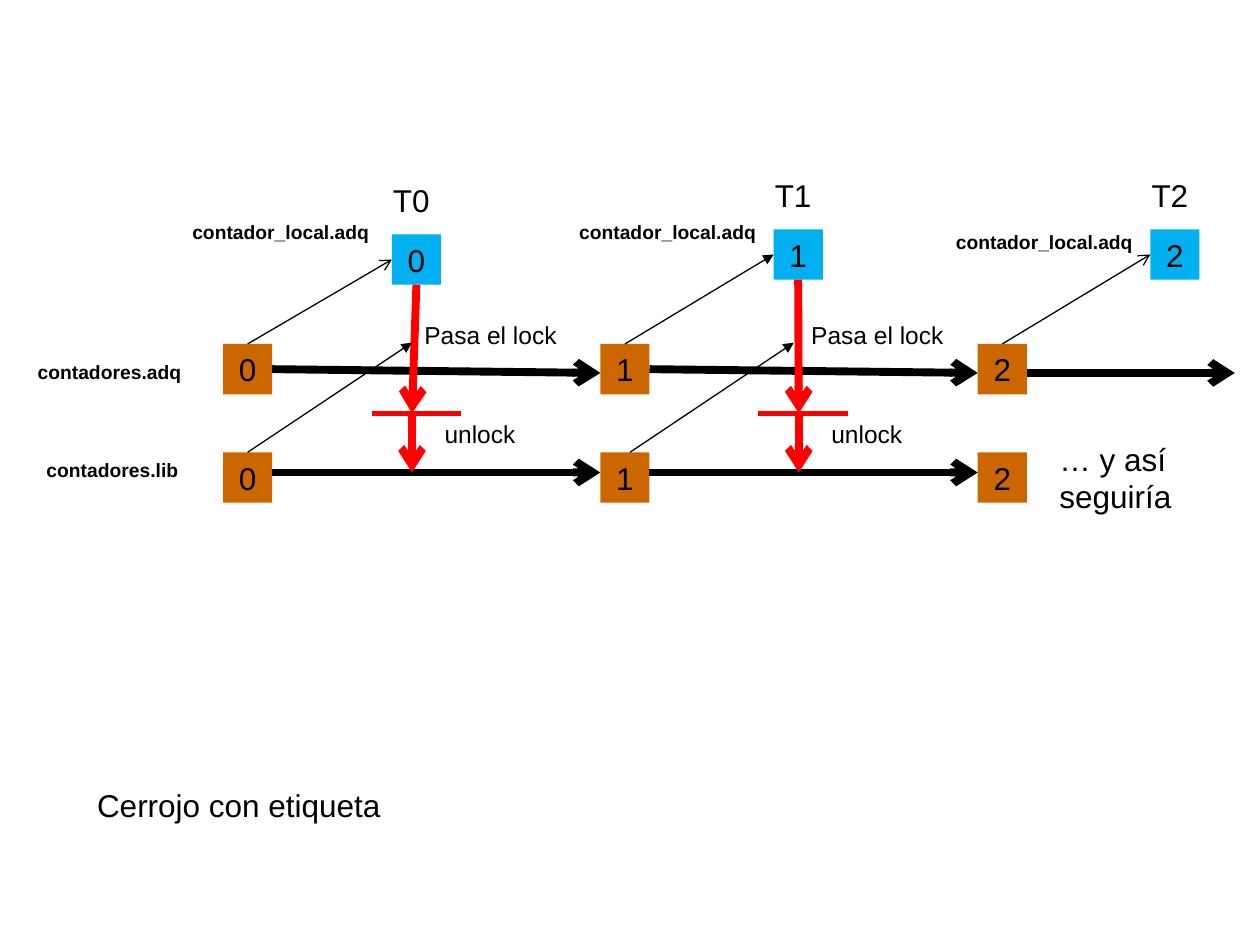
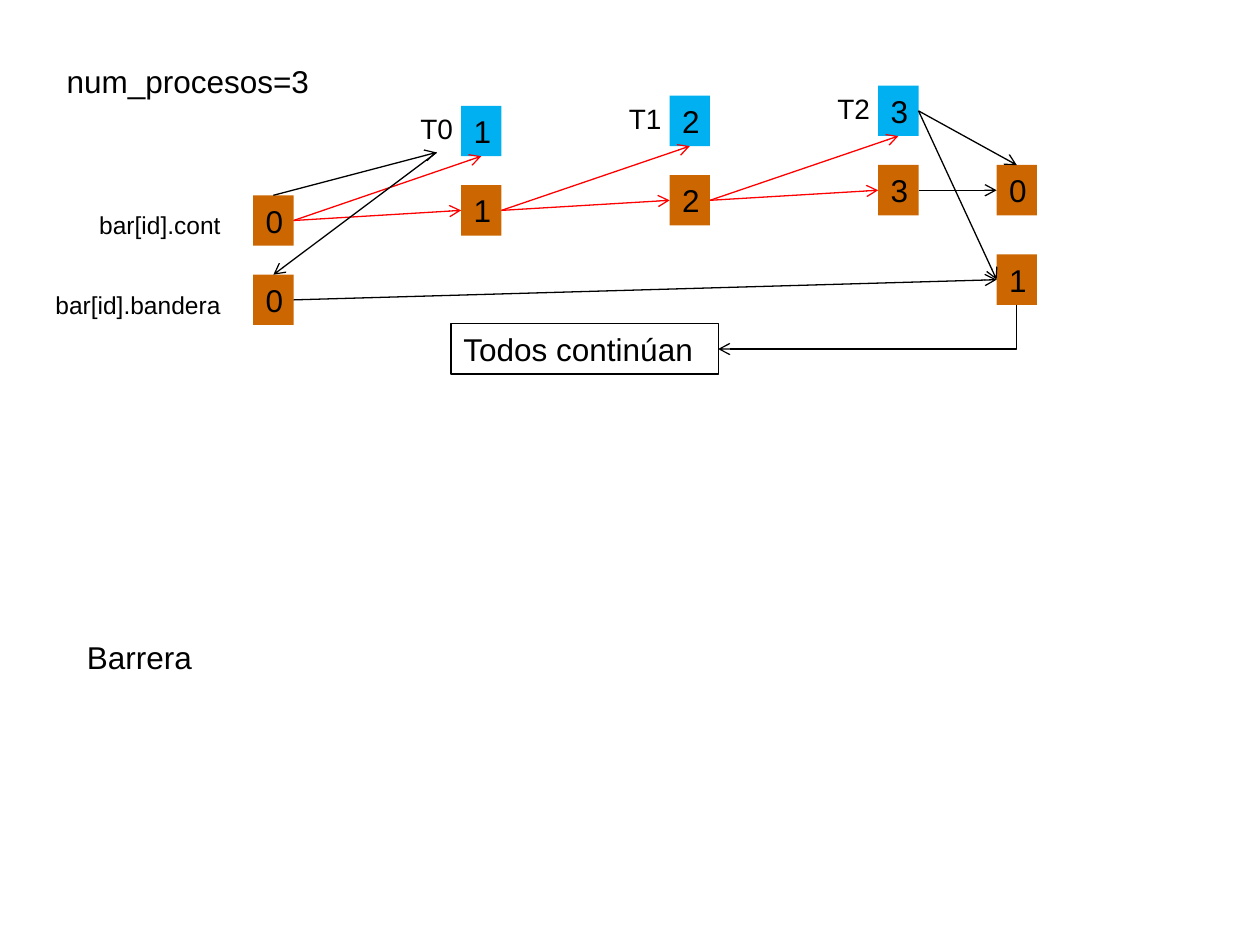
from dataclasses import dataclass

from lxml.etree import SubElement
from pptx import Presentation
from pptx.dml.color import RGBColor
from pptx.enum.shapes import MSO_CONNECTOR, MSO_SHAPE
from pptx.enum.text import MSO_ANCHOR, PP_ALIGN
from pptx.oxml.ns import qn
from pptx.util import Inches, Pt

TOP, LEFT, BOTTOM, RIGHT = range(4)


@dataclass(frozen=True)
class Theme:
    font: str = "Arial"
    ink: RGBColor = RGBColor(0x00, 0x00, 0x00)
    signal: RGBColor = RGBColor(0xFF, 0x00, 0x00)
    shared: RGBColor = RGBColor(0xCC, 0x66, 0x00)
    local: RGBColor = RGBColor(0x00, 0xB0, 0xF0)
    body: int = 18
    thread: int = 16
    note: int = 14
    name: int = 11
    thin: float = 0.75
    mark: float = 3
    thick: float = 4.5
    box_h: float = 0.4


class Deck:
    def __init__(self, theme):
        self.theme = theme
        self.prs = Presentation()
        self.prs.slide_width = Inches(10)
        self.prs.slide_height = Inches(7.5)
        self.s = None

    def add_slide(self, title, x, y, w):
        self.s = self.prs.slides.add_slide(self.prs.slide_layouts[5])
        sp = self.s.shapes.title
        sp.left, sp.top = Inches(x), Inches(y)
        sp.width, sp.height = Inches(w), Inches(self.theme.box_h)
        self.add_text(sp, title, self.theme.body)

    def add_text(self, sp, text, size, align=PP_ALIGN.LEFT, bold=False, anchor=MSO_ANCHOR.TOP):
        tf = sp.text_frame
        tf.word_wrap = True
        tf.vertical_anchor = anchor
        p = tf.paragraphs[0]
        p.alignment = align
        r = p.add_run()
        r.text = text
        r.font.name = self.theme.font
        r.font.size = Pt(size)
        r.font.bold = bold
        r.font.color.rgb = self.theme.ink

    def label(self, text, x, y, w, h, size, align=PP_ALIGN.LEFT, bold=False):
        sp = self.s.shapes.add_textbox(Inches(x), Inches(y), Inches(w), Inches(h))
        self.add_text(sp, text, size, align, bold)
        return sp

    def box(self, text, x, y, w, fill=None, align=PP_ALIGN.CENTER):
        sp = self.s.shapes.add_shape(
            MSO_SHAPE.RECTANGLE, Inches(x), Inches(y), Inches(w), Inches(self.theme.box_h))
        sp.shadow.inherit = False
        if fill is None:
            sp.fill.background()
            sp.line.color.rgb = self.theme.ink
            sp.line.width = Pt(self.theme.thin)
        else:
            sp.fill.solid()
            sp.fill.fore_color.rgb = fill
            sp.line.fill.background()
        self.add_text(sp, text, self.theme.body, align, anchor=MSO_ANCHOR.MIDDLE)
        return sp

    def line(self, start, end, color=None, width=None, head="arrow", kind=MSO_CONNECTOR.STRAIGHT):
        joined = [not isinstance(point[0], (int, float)) for point in (start, end)]
        ends = [(0, 0) if j else point for j, point in zip(joined, (start, end))]
        cx = self.s.shapes.add_connector(kind, *[Inches(v) for point in ends for v in point])
        if joined[0]:
            cx.begin_connect(*start)
        if joined[1]:
            cx.end_connect(*end)
        cx.line.color.rgb = color or self.theme.ink
        cx.line.width = Pt(width or self.theme.thin)
        sp_pr = cx.element.spPr
        if head:
            SubElement(sp_pr.find(qn("a:ln")), qn("a:tailEnd"), type=head)
        SubElement(sp_pr, qn("a:effectLst"))
        return cx

    def corner(self, start, end):
        cx = self.line(start, end, kind=MSO_CONNECTOR.ELBOW)
        x1, y1, x2, y2 = cx.begin_x, cx.begin_y, cx.end_x, cx.end_y
        run, drop = x1 - x2, y2 - y1
        sp_pr = cx.element.spPr
        sp_pr.find(qn("a:prstGeom")).set("prst", "bentConnector2")
        xfrm = sp_pr.find(qn("a:xfrm"))
        xfrm.attrib.clear()
        xfrm.set("rot", "5400000")
        cx.left, cx.top = (x1 + x2 - drop) // 2, (y1 + y2 - run) // 2
        cx.width, cx.height = drop, run


def ticket_lock(deck):
    t = deck.theme
    deck.add_slide("Cerrojo con etiqueta", 0.67, 6.19, 3.78)
    w, pitch = 0.39, 2.995
    adq_y, lib_y, adq_line, lib_line, lock_y = 2.73, 3.59, 2.96, 3.75, 3.28
    deck.label("contadores.adq", 0.2, 2.81, 1.42, 0.29, t.name, bold=True)
    deck.label("contadores.lib", 0.27, 3.59, 1.42, 0.29, t.name, bold=True)

    xs = [1.77 + i * pitch for i in range(3)]
    adq = [deck.box(str(i), x, adq_y, w, t.shared) for i, x in enumerate(xs)]
    lib = [deck.box(str(i), x, lib_y, w, t.shared) for i, x in enumerate(xs)]

    threads = [(3.11, 1.86, 1.22, 1.7, "arrow"),
               (6.14, 1.82, 4.29, 1.7, "triangle"),
               (9.13, 1.82, 7.28, 1.78, "arrow")]
    local = []
    for i, (x, y, name_x, name_y, head) in enumerate(threads):
        deck.label(f"T{i}", x - 0.16, y - 0.47, 0.63, 0.4, t.body, PP_ALIGN.CENTER)
        deck.label("contador_local.adq", name_x, name_y, 1.81, 0.29, t.name, PP_ALIGN.RIGHT, True)
        local.append(deck.box(str(i), x, y, w, t.local))
        deck.line((adq[i], TOP), (local[i], LEFT), head=head)

    passes = [(3.27, (lib[0], TOP), 3.27), (6.34, (5, lib_y), 6.3)]
    for i, (lock_x, turn, turn_x) in enumerate(passes):
        deck.line((adq[i], RIGHT), (xs[i + 1], adq_line), width=t.thick)
        deck.line((xs[i] + w, lib_line), (xs[i + 1], lib_line), width=t.thick)
        deck.line((local[i], BOTTOM), (lock_x, lock_y), t.signal, t.thick)
        deck.line(turn, (turn_x, 2.72), head="triangle")
        deck.line((lock_x - 0.32, lock_y), (lock_x + 0.39, lock_y), t.signal, t.mark, None)
        deck.line((lock_x, lock_y), (lock_x, lib_line), t.signal, t.thick)
        deck.label("Pasa el lock", lock_x, 2.49, 1.57, 0.34, t.note)
        deck.label("unlock", lock_x + 0.16, lock_y, 1.57, 0.34, t.note)

    deck.line((xs[2] + w, adq_line), (9.8, adq_line), width=t.thick)
    deck.label("… y así seguiría", 8.31, 3.44, 1.34, 0.7, t.body)


def barrier(deck):
    t = deck.theme
    deck.add_slide("Barrera", 0.59, 5.01, 1.42)
    w, gap = 0.32, 0.63
    deck.label("num_procesos=3", 0.43, 0.44, 2.44, 0.4, t.body)
    deck.label("bar[id].cont", 0.67, 1.62, 1.18, 0.34, t.note, PP_ALIGN.RIGHT)
    deck.label("bar[id].bandera", 0.2, 2.25, 1.65, 0.34, t.note, PP_ALIGN.RIGHT)
    cont = first = deck.box("0", 2.01, 1.55, w, t.shared)
    flag = deck.box("0", 2.01, 1.55 + gap, w, t.shared)

    names = []
    for i in range(3):
        x, y = 3.66 + 1.655 * i, 0.84 - 0.08 * i
        names.append(deck.label(f"T{i}", x - 0.47, y, 0.55, 0.37, t.thread, PP_ALIGN.CENTER))
        local = deck.box(str(i + 1), x, y, w, t.local)
        count = deck.box(str(i + 1), x, y + gap, w, t.shared)
        for target in ((count, LEFT), (local, BOTTOM)):
            deck.line((cont, RIGHT), target, t.signal)
        cont = count

    reset = deck.box("0", 7.91, 1.31, w, t.shared)
    raised = deck.box("1", 7.91, 2.02, w, t.shared)
    go_on = deck.box("Todos continúan", 3.58, 2.57, 2.12, align=PP_ALIGN.LEFT)
    for start, end in [((first, TOP), (names[0], BOTTOM)),
                       ((names[0], BOTTOM), (flag, TOP)),
                       ((local, RIGHT), (reset, TOP)),
                       ((cont, RIGHT), (reset, LEFT)),
                       ((local, RIGHT), (raised, LEFT)),
                       ((flag, RIGHT), (raised, LEFT))]:
        deck.line(start, end)
    deck.corner((raised, BOTTOM), (go_on, RIGHT))


def main():
    deck = Deck(Theme())
    ticket_lock(deck)
    barrier(deck)
    deck.prs.save("out.pptx")


if __name__ == "__main__":
    main()
